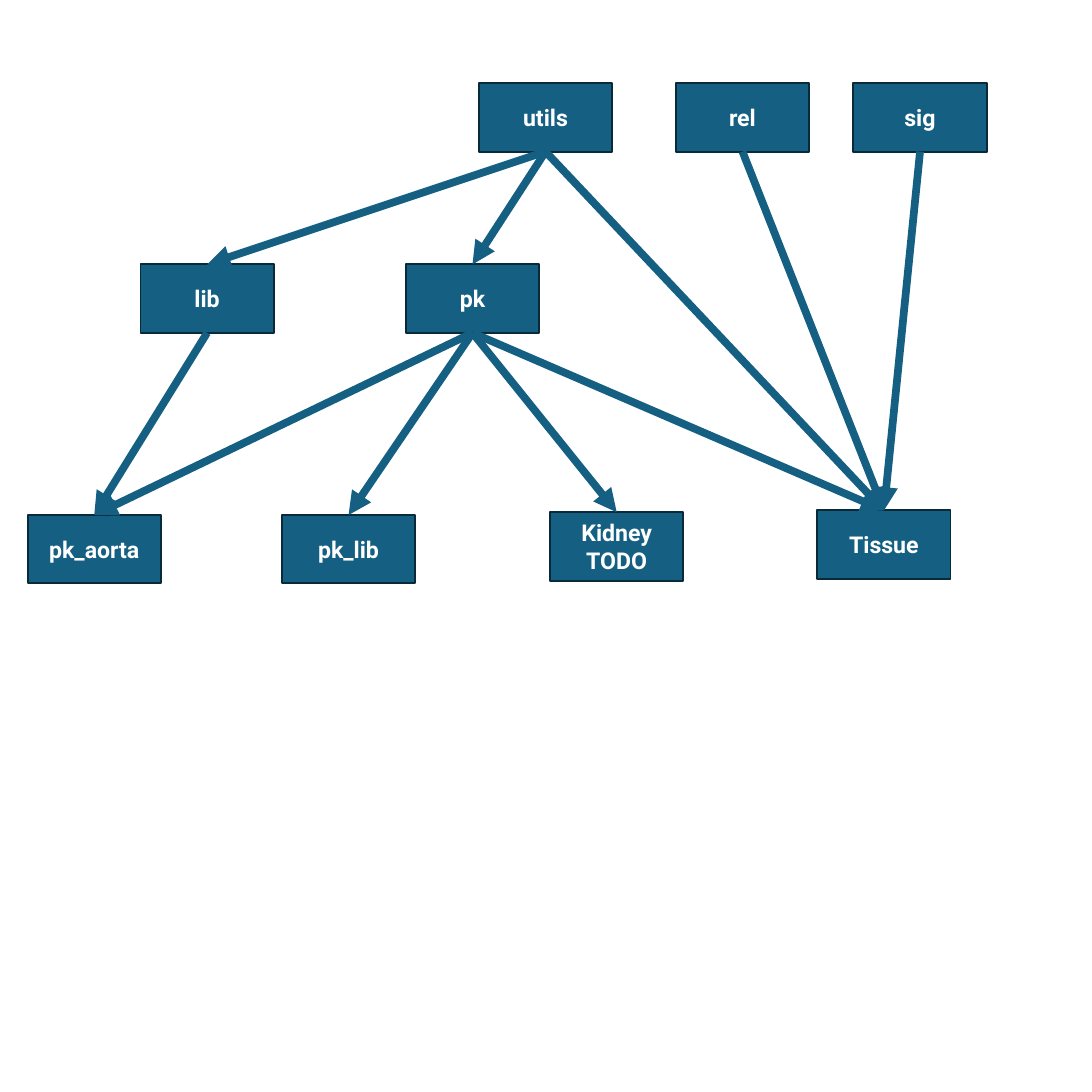
from lxml import etree
from pptx import Presentation
from pptx.dml.color import RGBColor
from pptx.enum.shapes import MSO_CONNECTOR, MSO_SHAPE
from pptx.enum.text import MSO_ANCHOR, PP_ALIGN
from pptx.oxml.ns import qn
from pptx.util import Inches, Pt

RECTANGLE = MSO_SHAPE.RECTANGLE
STRAIGHT = MSO_CONNECTOR.STRAIGHT
MIDDLE = MSO_ANCHOR.MIDDLE
CENTER = PP_ALIGN.CENTER
TOP_SITE, BOTTOM_SITE = 0, 2
BLUE, DARK_BLUE, WHITE = "156082", "092A39", "FFFFFF"
BOX_WIDTH, BOX_HEIGHT = 1.44, 0.74

MODULES = {
    "utils": (5.18, 0.9),
    "rel": (7.31, 0.9),
    "sig": (9.23, 0.9),
    "lib": (1.52, 2.86),
    "pk": (4.39, 2.86),
    "pk_aorta": (0.3, 5.57),
    "pk_lib": (3.05, 5.57),
    "Kidney\nTODO": (5.95, 5.54),
    "Tissue": (8.84, 5.52),
}
DEPENDENTS = {
    "utils": ["pk", "lib", "Tissue"],
    "pk": ["pk_lib", "pk_aorta", "Kidney\nTODO", "Tissue"],
    "lib": ["pk_aorta"],
    "sig": ["Tissue"],
    "rel": ["Tissue"],
}


def color(value):
    return RGBColor.from_string(value)


deck = Presentation()
deck.slide_width = deck.slide_height = Inches(11.81)
page = deck.slides.add_slide(deck.slide_layouts[6])

boxes = {}
for name, (left, top) in MODULES.items():
    box = page.shapes.add_shape(
        RECTANGLE, Inches(left), Inches(top), Inches(BOX_WIDTH), Inches(BOX_HEIGHT)
    )
    box.shadow.inherit = False
    box.fill.solid()
    box.fill.fore_color.rgb = color(BLUE)
    box.line.color.rgb = color(DARK_BLUE)
    box.line.width = Pt(1.5)
    frame = box.text_frame
    frame.word_wrap = True
    frame.vertical_anchor = MIDDLE
    for index, words in enumerate(name.split("\n")):
        para = frame.add_paragraph() if index else frame.paragraphs[0]
        para.alignment = CENTER
        span = para.add_run()
        span.text = words
        span.font.name = "Roboto"
        span.font.size = Pt(18)
        span.font.bold = True
        span.font.color.rgb = color(WHITE)
    boxes[name] = box

for source, targets in DEPENDENTS.items():
    for target in targets:
        start, end = boxes[source], boxes[target]
        arrow = page.shapes.add_connector(
            STRAIGHT,
            start.left + start.width // 2,
            start.top + start.height,
            end.left + end.width // 2,
            end.top,
        )
        arrow.begin_connect(start, BOTTOM_SITE)
        arrow.end_connect(end, TOP_SITE)
        arrow.line.color.rgb = color(BLUE)
        arrow.line.width = Pt(6)
        properties = arrow.element.find(qn("p:spPr"))
        outline = properties.find(qn("a:ln"))
        etree.SubElement(outline, qn("a:tailEnd"), type="triangle")
        etree.SubElement(properties, qn("a:effectLst"))

deck.save("out.pptx")
